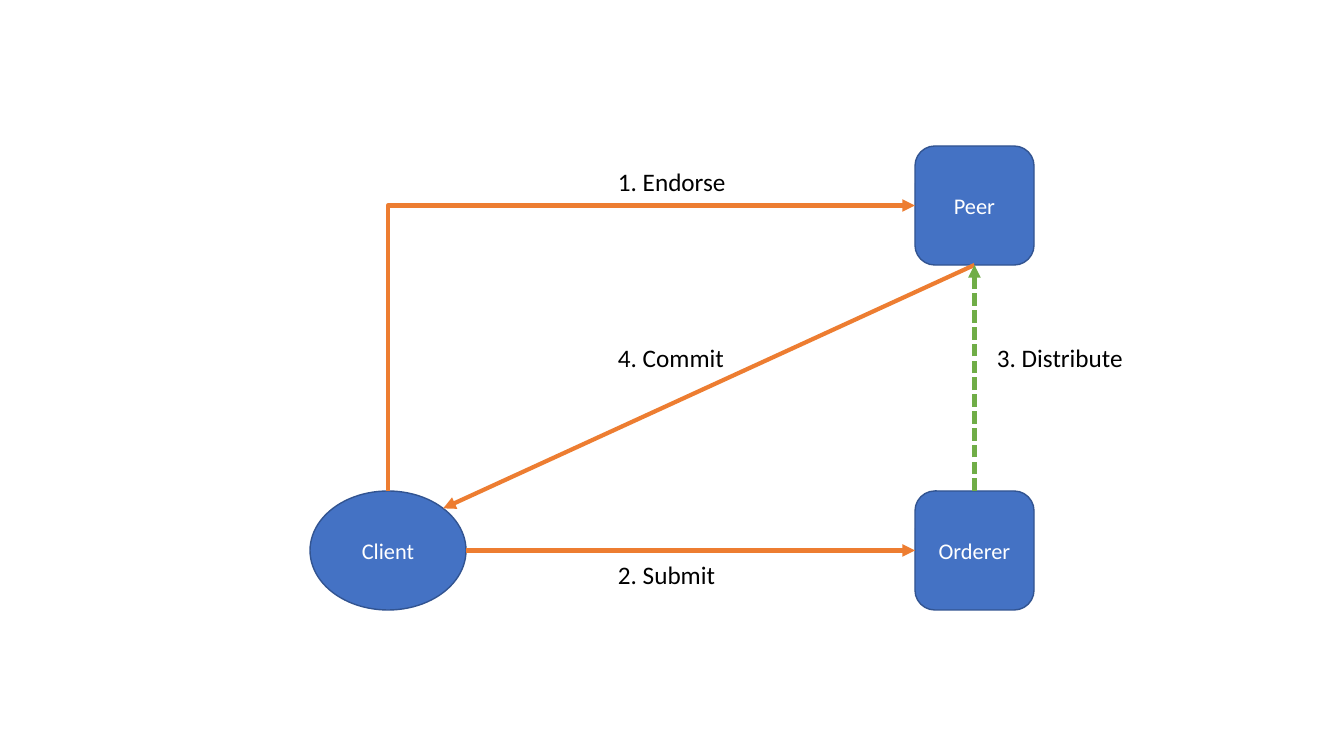
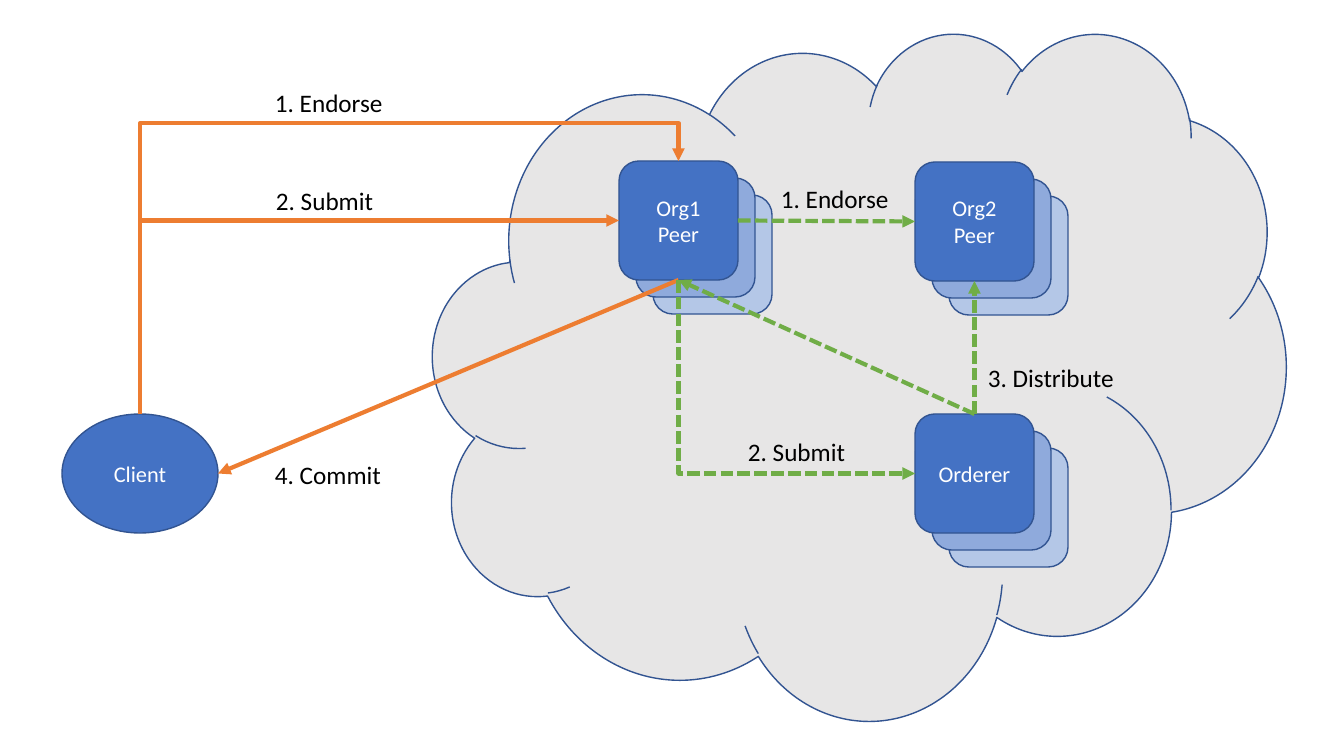
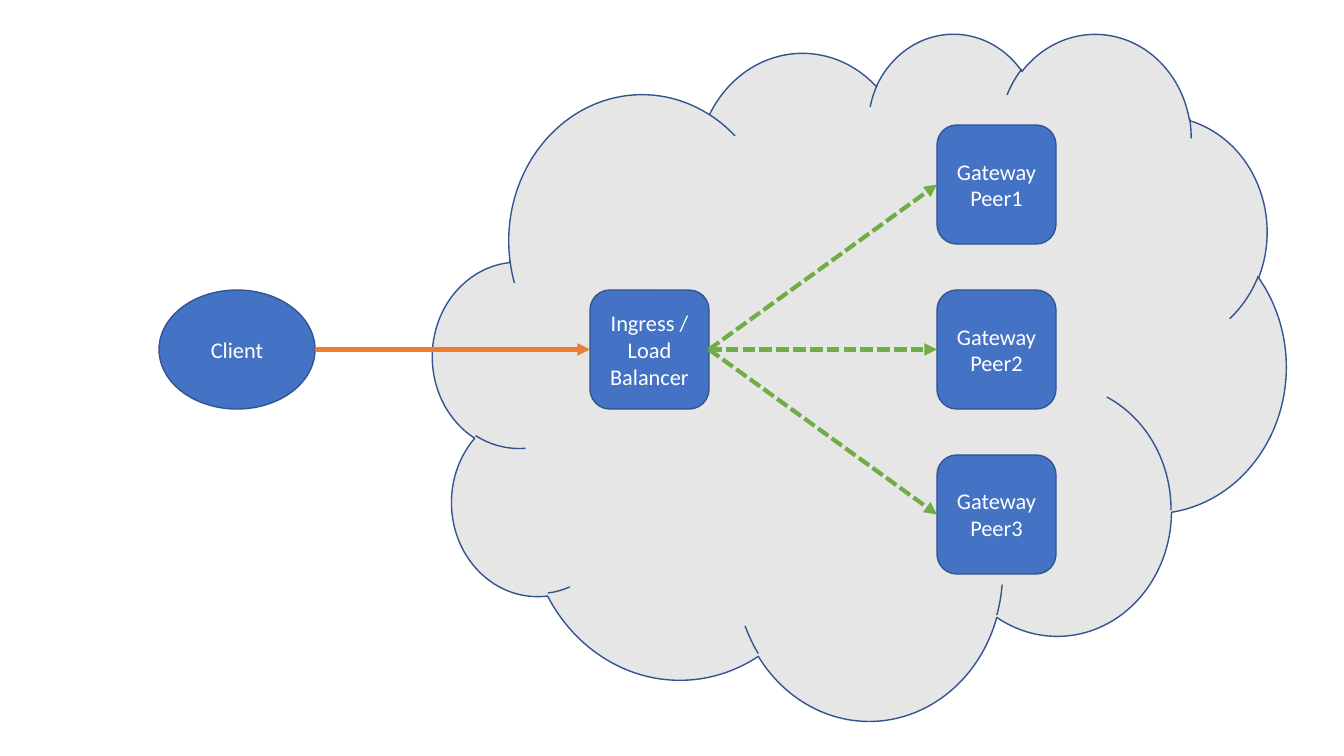
"""Draw three transaction-flow diagrams: basic, through a gateway, load balanced."""
from dataclasses import dataclass
from enum import Enum

from lxml.etree import SubElement
from pptx import Presentation
from pptx.dml.color import RGBColor
from pptx.enum.dml import MSO_LINE
from pptx.enum.shapes import MSO_CONNECTOR as CONNECTOR, MSO_SHAPE as SHAPE
from pptx.enum.text import MSO_ANCHOR as ANCHOR, MSO_AUTO_SIZE as AUTO_SIZE, PP_ALIGN as ALIGN
from pptx.oxml.ns import qn
from pptx.util import Emu, Pt

SCALE = 914400 / 100.8
FONT = "Calibri"
BLUE = RGBColor(0x44, 0x72, 0xC4)
MID_BLUE = RGBColor(0x8F, 0xAA, 0xDC)
PALE_BLUE = RGBColor(0xB4, 0xC7, 0xE7)
OUTLINE = RGBColor(0x32, 0x54, 0x91)
GREY = RGBColor(0xE7, 0xE6, 0xE6)
ORANGE = RGBColor(0xED, 0x7D, 0x31)
GREEN = RGBColor(0x70, 0xAD, 0x47)
WHITE = RGBColor(0xFF, 0xFF, 0xFF)
BLACK = RGBColor(0x00, 0x00, 0x00)

NODE_HEIGHT, PEER_WIDTH, CLIENT_WIDTH = 119, 119, 156
STACK_STEP = 17
STACK_FILLS = (PALE_BLUE, MID_BLUE)
CLOUD_BOX = (433, 32, 853, 687)
LABEL_HEIGHT = 40
LABEL_WIDTHS = {"1. Endorse": 129, "2. Submit": 119, "3. Distribute": 152, "4. Commit": 127}


class Site(Enum):
    """A connection site: x and y fraction, index on a box, index on an ellipse."""
    TOP = (0.5, 0, 0, 0)
    LEFT = (0, 0.5, 1, 2)
    BOTTOM = (0.5, 1, 2, 4)
    RIGHT = (1, 0.5, 3, 6)
    TOP_RIGHT = (0.854, 0.146, 0, 7)


@dataclass(frozen=True)
class Node:
    """A client ellipse, or a box with an optional stack behind it."""
    text: str
    x: int
    y: int
    client: bool = False
    stacked: bool = False

    @property
    def width(self) -> int:
        """Return the width in pixels."""
        return CLIENT_WIDTH if self.client else PEER_WIDTH

    def point(self, site: Site) -> tuple[float, float]:
        """Return the position of a connection site."""
        fx, fy = site.value[:2]
        return self.x + fx * self.width, self.y + fy * NODE_HEIGHT

    def site_index(self, site: Site) -> int:
        """Return the number of a connection site on this node's outline."""
        return site.value[3 if self.client else 2]


@dataclass(frozen=True)
class Link:
    """An arrow between two nodes, dashed green when inside the network."""
    begin: str
    begin_site: Site
    end: str
    end_site: Site
    internal: bool = False
    bends: int = 0
    overshoot: int = 0


@dataclass(frozen=True)
class Label:
    """A step name beside an arrow."""
    text: str
    x: int
    y: int


@dataclass(frozen=True)
class Diagram:
    """The contents of one slide."""
    nodes: dict[str, Node]
    links: list[Link]
    labels: list[Label]
    cloud: bool = True


def px(value: float) -> Emu:
    """Turn pixels into EMU."""
    return Emu(round(value * SCALE))


def add_outlined(shapes, form: SHAPE, box: tuple[float, ...], fill: RGBColor):
    """Add a filled preset shape with the common outline."""
    s = shapes.add_shape(form, *map(px, box))
    s.shadow.inherit = False
    s.fill.solid()
    s.fill.fore_color.rgb = fill
    s.line.color.rgb = OUTLINE
    s.line.width = Pt(1)
    return s


def set_text(tf, text: str, size: int, color: RGBColor, align: ALIGN) -> None:
    """Fill a text frame and format every run."""
    tf.text = text
    for p in tf.paragraphs:
        p.alignment = align
        for r in p.runs:
            r.font.name, r.font.size = FONT, Pt(size)
            r.font.color.rgb = color


def add_node(shapes, node: Node):
    """Draw a node and return its front shape."""
    form = SHAPE.OVAL if node.client else SHAPE.ROUNDED_RECTANGLE
    if node.stacked:
        shapes = shapes.add_group_shape().shapes
        for depth, fill in zip((2, 1), STACK_FILLS):
            shift = depth * STACK_STEP
            add_outlined(shapes, form, (node.x + shift, node.y + shift, node.width, NODE_HEIGHT), fill)
    s = add_outlined(shapes, form, (node.x, node.y, node.width, NODE_HEIGHT), BLUE)
    s.text_frame.vertical_anchor = ANCHOR.MIDDLE
    set_text(s.text_frame, node.text, 16, WHITE, ALIGN.CENTER)
    return s


def add_bent(shapes, link: Link, begin: tuple[float, float], end: tuple[float, float]):
    """Add a connector that leaves vertically, as a preset turned by 270 degrees."""
    (x1, y1), (x2, y2) = begin, end
    mid_x, mid_y = (x1 + x2) / 2, (y1 + y2) / 2
    half_w, half_h = (y1 - y2) / 2, (x2 - x1) / 2
    c = shapes.add_connector(CONNECTOR.ELBOW, px(mid_x - half_w), px(mid_y - half_h),
                             px(mid_x + half_w), px(mid_y + half_h))
    sp_pr = c._element.spPr
    sp_pr.find(qn("a:xfrm")).set("rot", str(270 * 60000))
    geometry = sp_pr.find(qn("a:prstGeom"))
    geometry.set("prst", f"bentConnector{link.bends + 1}")
    if link.overshoot:
        ratio = 1 + link.overshoot / abs(y2 - y1)
        SubElement(geometry.find(qn("a:avLst")), qn("a:gd"),
                   name="adj1", fmla=f"val {round(ratio * 100000)}")
    return c


def add_link(shapes, link: Link, nodes: dict[str, Node], fronts: dict) -> None:
    """Draw an arrow and attach it to both of its nodes."""
    begin = nodes[link.begin].point(link.begin_site)
    end = nodes[link.end].point(link.end_site)
    if link.bends:
        c = add_bent(shapes, link, begin, end)
    else:
        c = shapes.add_connector(CONNECTOR.STRAIGHT, *map(px, begin + end))
    c.line.color.rgb = GREEN if link.internal else ORANGE
    c.line.width = Pt(3)
    if link.internal:
        c.line.dash_style = MSO_LINE.SQUARE_DOT
    sp_pr = c._element.spPr
    SubElement(sp_pr.find(qn("a:ln")), qn("a:tailEnd"), type="triangle")
    SubElement(sp_pr, qn("a:effectLst"))
    ends = c._element.find(f".//{qn('p:cNvCxnSpPr')}")
    for tag, key, site in (("a:stCxn", link.begin, link.begin_site),
                           ("a:endCxn", link.end, link.end_site)):
        SubElement(ends, qn(tag), id=str(fronts[key].shape_id),
                   idx=str(nodes[key].site_index(site)))


def add_label(shapes, label: Label) -> None:
    """Write a step name."""
    box = (label.x, label.y, LABEL_WIDTHS[label.text], LABEL_HEIGHT)
    tf = shapes.add_textbox(*map(px, box)).text_frame
    tf.word_wrap = False
    tf.auto_size = AUTO_SIZE.SHAPE_TO_FIT_TEXT
    set_text(tf, label.text, 18, BLACK, ALIGN.LEFT)


def add_diagram(prs, diagram: Diagram) -> None:
    """Add a slide holding one diagram."""
    shapes = prs.slides.add_slide(prs.slide_layouts[6]).shapes
    if diagram.cloud:
        add_outlined(shapes, SHAPE.CLOUD, CLOUD_BOX, GREY)
    fronts = {key: add_node(shapes, node) for key, node in diagram.nodes.items()}
    for link in diagram.links:
        add_link(shapes, link, diagram.nodes, fronts)
    for label in diagram.labels:
        add_label(shapes, label)


BASIC_FLOW = Diagram(
    nodes={
        "client": Node("Client", 310, 491, client=True),
        "peer": Node("Peer", 915, 146),
        "orderer": Node("Orderer", 915, 491),
    },
    links=[
        Link("peer", Site.BOTTOM, "client", Site.TOP_RIGHT),
        Link("client", Site.RIGHT, "orderer", Site.LEFT),
        Link("orderer", Site.TOP, "peer", Site.BOTTOM, internal=True),
        Link("client", Site.TOP, "peer", Site.LEFT, bends=1),
    ],
    labels=[
        Label("1. Endorse", 608, 161),
        Label("2. Submit", 608, 554),
        Label("3. Distribute", 987, 337),
        Label("4. Commit", 608, 337),
    ],
    cloud=False,
)

GATEWAY_FLOW = Diagram(
    nodes={
        "org2": Node("Org2\nPeer", 915, 162, stacked=True),
        "client": Node("Client", 62, 414, client=True),
        "org1": Node("Org1\nPeer", 619, 161, stacked=True),
        "orderer": Node("Orderer", 915, 414, stacked=True),
    },
    links=[
        Link("org1", Site.BOTTOM, "client", Site.RIGHT),
        Link("orderer", Site.TOP, "org2", Site.BOTTOM, internal=True),
        Link("orderer", Site.TOP, "org1", Site.BOTTOM, internal=True),
        Link("client", Site.TOP, "org1", Site.TOP, bends=2, overshoot=38),
        Link("client", Site.TOP, "org1", Site.LEFT, bends=1),
        Link("org1", Site.BOTTOM, "orderer", Site.LEFT, internal=True, bends=1),
        Link("org1", Site.RIGHT, "org2", Site.LEFT, internal=True),
    ],
    labels=[
        Label("1. Endorse", 265, 82),
        Label("2. Submit", 266, 180),
        Label("3. Distribute", 978, 357),
        Label("4. Commit", 265, 454),
        Label("2. Submit", 738, 431),
        Label("1. Endorse", 771, 178),
    ],
)

GATEWAYS = {f"peer{i}": Node(f"Gateway\nPeer{i}", 937, 125 + 165 * (i - 1)) for i in (1, 2, 3)}

BALANCED_FLOW = Diagram(
    nodes={
        "client": Node("Client", 159, 290, client=True),
        "ingress": Node("Ingress /\nLoad\nBalancer", 590, 290),
        **GATEWAYS,
    },
    links=[
        Link("client", Site.RIGHT, "ingress", Site.LEFT),
        *(Link("ingress", Site.RIGHT, key, Site.LEFT, internal=True) for key in GATEWAYS),
    ],
    labels=[],
)


def main() -> None:
    """Build and save the presentation."""
    prs = Presentation()
    prs.slide_width, prs.slide_height = px(1344), px(756)
    for diagram in (BASIC_FLOW, GATEWAY_FLOW, BALANCED_FLOW):
        add_diagram(prs, diagram)
    prs.save("out.pptx")


main()
